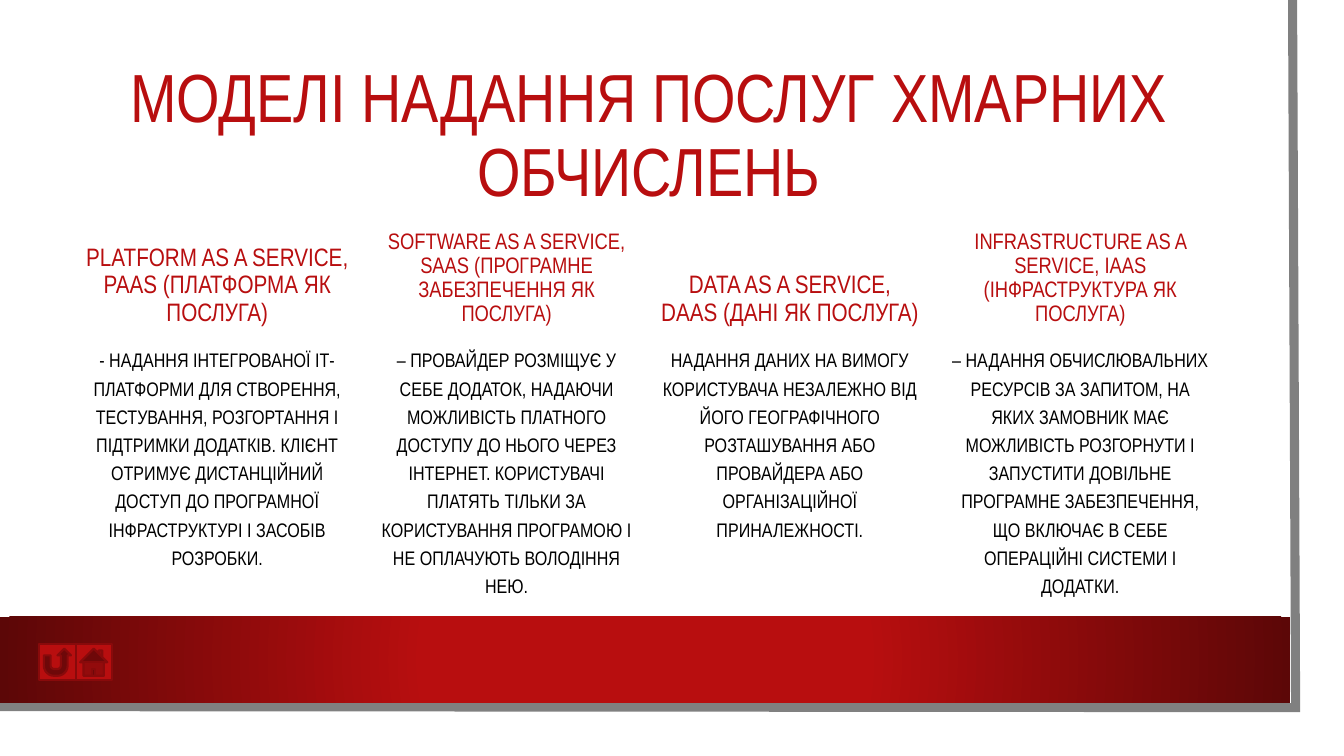
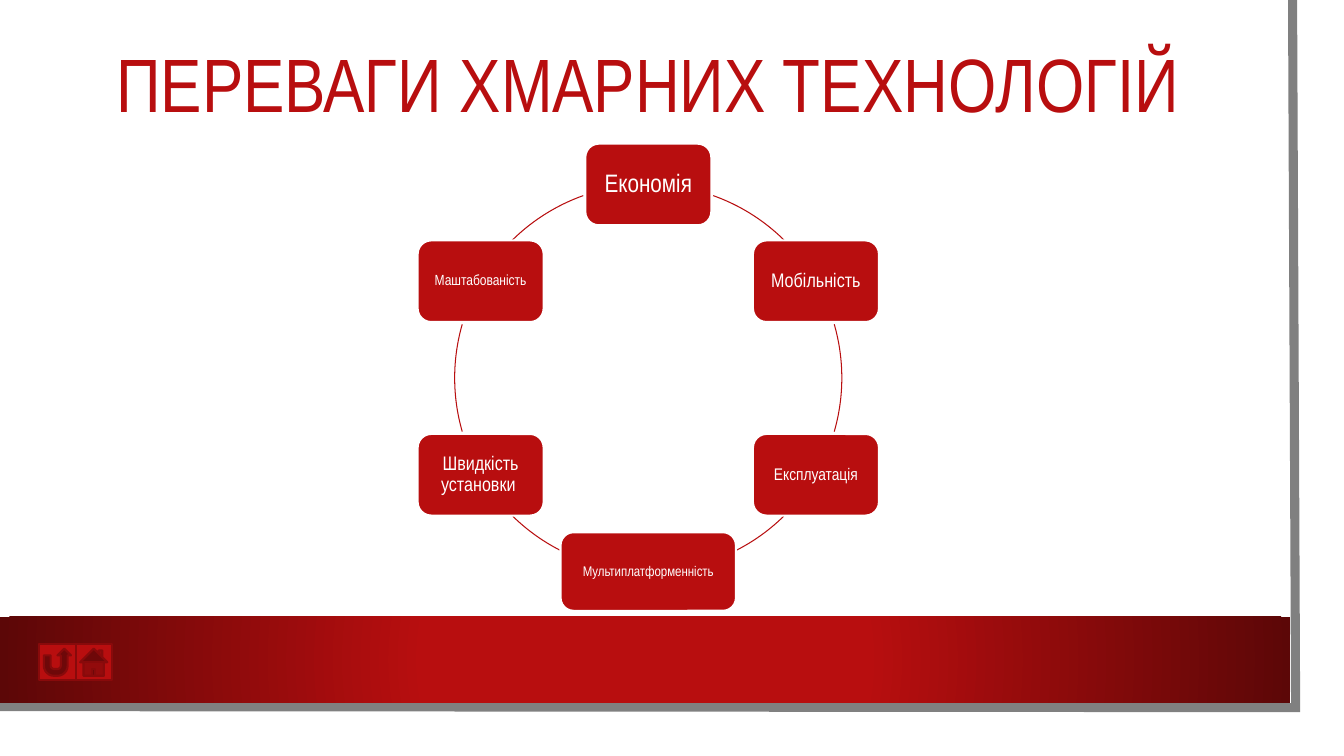
from math import cos, radians, sin

from pptx import Presentation
from pptx.dml.color import RGBColor
from pptx.enum.shapes import MSO_SHAPE as Form
from pptx.enum.text import MSO_ANCHOR as Anchor, MSO_AUTO_SIZE as Fit, PP_ALIGN as Align
from pptx.oxml import parse_xml
from pptx.oxml.ns import nsdecls, qn
from pptx.oxml.xmlchemy import OxmlElement
from pptx.util import Inches, Pt

HUES = {"red": "B80E0F", "dark": "5C0707", "edge": "880A0B",
        "gray": "808080", "black": "000000", "white": "FFFFFF"}

MODELS = [
    (0.75, 18, "PLATFORM AS A SERVICE, PAAS (ПЛАТФОРМА ЯК ПОСЛУГА)",
     "- НАДАННЯ ІНТЕГРОВАНОЇ ІТ-ПЛАТФОРМИ ДЛЯ СТВОРЕННЯ, ТЕСТУВАННЯ, "
     "РОЗГОРТАННЯ І ПІДТРИМКИ ДОДАТКІВ. КЛІЄНТ ОТРИМУЄ ДИСТАНЦІЙНИЙ ДОСТУП "
     "ДО ПРОГРАМНОЇ ІНФРАСТРУКТУРІ І ЗАСОБІВ РОЗРОБКИ."),
    (3.62, 16, "SOFTWARE AS A SERVICE, SAAS (ПРОГРАМНЕ ЗАБЕЗПЕЧЕННЯ ЯК ПОСЛУГА)",
     "– ПРОВАЙДЕР РОЗМІЩУЄ У СЕБЕ ДОДАТОК, НАДАЮЧИ МОЖЛИВІСТЬ ПЛАТНОГО "
     "ДОСТУПУ ДО НЬОГО ЧЕРЕЗ ІНТЕРНЕТ. КОРИСТУВАЧІ ПЛАТЯТЬ ТІЛЬКИ ЗА "
     "КОРИСТУВАННЯ ПРОГРАМОЮ І НЕ ОПЛАЧУЮТЬ ВОЛОДІННЯ НЕЮ."),
    (6.43, 18, "DATA AS A SERVICE, DAAS (ДАНІ ЯК ПОСЛУГА)",
     "НАДАННЯ ДАНИХ НА ВИМОГУ КОРИСТУВАЧА НЕЗАЛЕЖНО ВІД ЙОГО ГЕОГРАФІЧНОГО "
     "РОЗТАШУВАННЯ АБО ПРОВАЙДЕРА АБО ОРГАНІЗАЦІЙНОЇ ПРИНАЛЕЖНОСТІ."),
    (9.31, 16, "INFRASTRUCTURE AS A SERVICE, IAAS (ІНФРАСТРУКТУРА ЯК ПОСЛУГА)",
     "– НАДАННЯ ОБЧИСЛЮВАЛЬНИХ РЕСУРСІВ ЗА ЗАПИТОМ, НА ЯКИХ ЗАМОВНИК МАЄ "
     "МОЖЛИВІСТЬ РОЗГОРНУТИ І ЗАПУСТИТИ ДОВІЛЬНЕ ПРОГРАМНЕ ЗАБЕЗПЕЧЕННЯ, "
     "ЩО ВКЛЮЧАЄ В СЕБЕ ОПЕРАЦІЙНІ СИСТЕМИ І ДОДАТКИ."),
]

# Clockwise from the top: label, text size, width, height
PLUSES = [
    ("Економія", 18, 1.25, 0.81),
    ("Мобільність", 14, 1.25, 0.81),
    ("Експлуатація", 12, 1.25, 0.81),
    ("Мультиплатформенність", 10, 1.74, 0.78),
    ("Швидкість установки ", 14, 1.25, 0.81),
    ("Маштабованість", 10.5, 1.25, 0.81),
]
# Right-hand arcs in degrees, clockwise from three o'clock
ARCS = [(289.6, 314.6), (343.9, 16.1), (45.6, 62.8)]


def color(hue):
    return RGBColor.from_string(HUES[hue])


def box(*lengths):
    return [Inches(n) for n in lengths]


class Deck:
    font = "Arial Narrow"

    def __init__(self):
        self.prs = Presentation()
        self.prs.slide_width, self.prs.slide_height = box(13.33, 7.5)
        self.slide = None

    def page(self, title, at, size):
        self.slide = self.prs.slides.add_slide(self.prs.slide_layouts[5])
        self.frame()
        head = self.slide.shapes.title
        for name, value in zip(("left", "top", "width", "height"), box(*at)):
            setattr(head, name, value)
        self.label(head, title, size, "red")

    def frame(self):
        """Draw the gray edge, the red band and the two buttons."""
        pen = self.slide.shapes.build_freeform(*box(12.82, 0))
        pen.add_line_segments([box(12.85, 7.02), box(-0.03, 7.01)], close=False)
        edge = self.paint(pen.convert_to_shape(), None, "gray", 6.5)
        miter = OxmlElement("a:miter")
        miter.set("lim", "800000")
        edge._element.spPr.find(qn("a:ln")).append(miter)
        self.band(0, 6.12, 12.8, 0.85)
        for x, form in ((0.75, Form.ACTION_BUTTON_HOME),
                        (0.39, Form.ACTION_BUTTON_RETURN)):
            self.shape(form, (x, 6.39, 0.36, 0.36), "red", "edge", 1.5)

    def band(self, *at):
        """Add a bar that darkens from its centre outwards."""
        props = self.shape(Form.RECTANGLE, at)._element.spPr
        stops = "".join(
            f'<a:gs pos="{pos}"><a:srgbClr val="{HUES[hue]}"/></a:gs>'
            for pos, hue in ((34000, "red"), (100000, "dark")))
        props.replace(props.find(qn("a:noFill")), parse_xml(
            f'<a:gradFill {nsdecls("a")} rotWithShape="1"><a:gsLst>{stops}</a:gsLst>'
            '<a:path path="circle"><a:fillToRect l="50000" t="50000" r="50000" '
            'b="50000"/></a:path></a:gradFill>'))

    def paint(self, shape, fill=None, line=None, width=1):
        shape.shadow.inherit = False
        for part, hue in ((shape.fill, fill), (shape.line.fill, line)):
            if hue:
                part.solid()
                part.fore_color.rgb = color(hue)
            else:
                part.background()
        if line:
            shape.line.width = Pt(width)
        return shape

    def shape(self, form, at, *look):
        return self.paint(self.slide.shapes.add_shape(form, *box(*at)), *look)

    def label(self, shape, text, size, hue, pad=None, anchor=Anchor.MIDDLE, **flow):
        """Fill a shape with one formatted paragraph."""
        body = shape.text_frame
        body.text = text
        para = body.paragraphs[0]
        look = {"word_wrap": True, "auto_size": Fit.NONE, "vertical_anchor": anchor}
        if pad is not None:
            sides = ("left", "right", "top", "bottom")
            look.update({f"margin_{side}": Inches(pad) for side in sides})
        flow = {"alignment": Align.CENTER, "line_spacing": 0.9, **flow}
        face = {"name": self.font, "size": Pt(size)}
        for item, values in ((body, look), (para, flow), (para.runs[0].font, face)):
            for name, value in values.items():
                setattr(item, name, value)
        para.runs[0].font.color.rgb = color(hue)

    def text(self, at, *args, **flow):
        self.label(self.slide.shapes.add_textbox(*box(*at)), *args, **flow)

    def arc(self, at, start, end):
        arc = self.shape(Form.ARC, at, None, "red", 0.75)
        for i, angle in enumerate((start, end)):
            arc.adjustments[i] = angle * 0.6  # 60000 units a degree, per 100000

    def node(self, x, y, name, size, wide, high):
        """Add a labelled box centred on x, y."""
        at = (x - wide / 2, y - high / 2, wide, high)
        node = self.shape(Form.ROUNDED_RECTANGLE, at, "red", "white", 1.5)
        self.label(node, name, size, "white", pad=0.04 + size / 250)


def models(deck):
    deck.page("МОДЕЛІ НАДАННЯ ПОСЛУГ ХМАРНИХ ОБЧИСЛЕНЬ", (0.75, 0.61, 11.37, 1.51), 48.6)
    for x, size, name, about in MODELS:
        deck.text((x, 2.19, 2.81, 1.1), name, size, "red",
                  anchor=Anchor.BOTTOM, space_before=Pt(10))
        deck.text((x, 3.36, 2.81, 2.74), about, 14, "black",
                  anchor=Anchor.TOP, space_before=Pt(10), line_spacing=1.2)


def pluses(deck):
    deck.page("ПЕРЕВАГИ ХМАРНИХ ТЕХНОЛОГІЙ", (0.72, 0.24, 11.42, 1.26), 54)
    x, y, r = 6.43, 3.75, 1.92
    ring = (x - r, y - r, 2 * r, 2 * r)
    for start, end in ARCS:
        deck.arc(ring, start, end)
        deck.arc(ring, (180 - end) % 360, (180 - start) % 360)
    for i, plus in enumerate(PLUSES):
        turn = radians(i * 360 / len(PLUSES) - 90)
        deck.node(x + r * cos(turn), y + r * sin(turn), *plus)


def main():
    deck = Deck()
    models(deck)
    pluses(deck)
    deck.prs.save("out.pptx")


if __name__ == "__main__":
    main()
